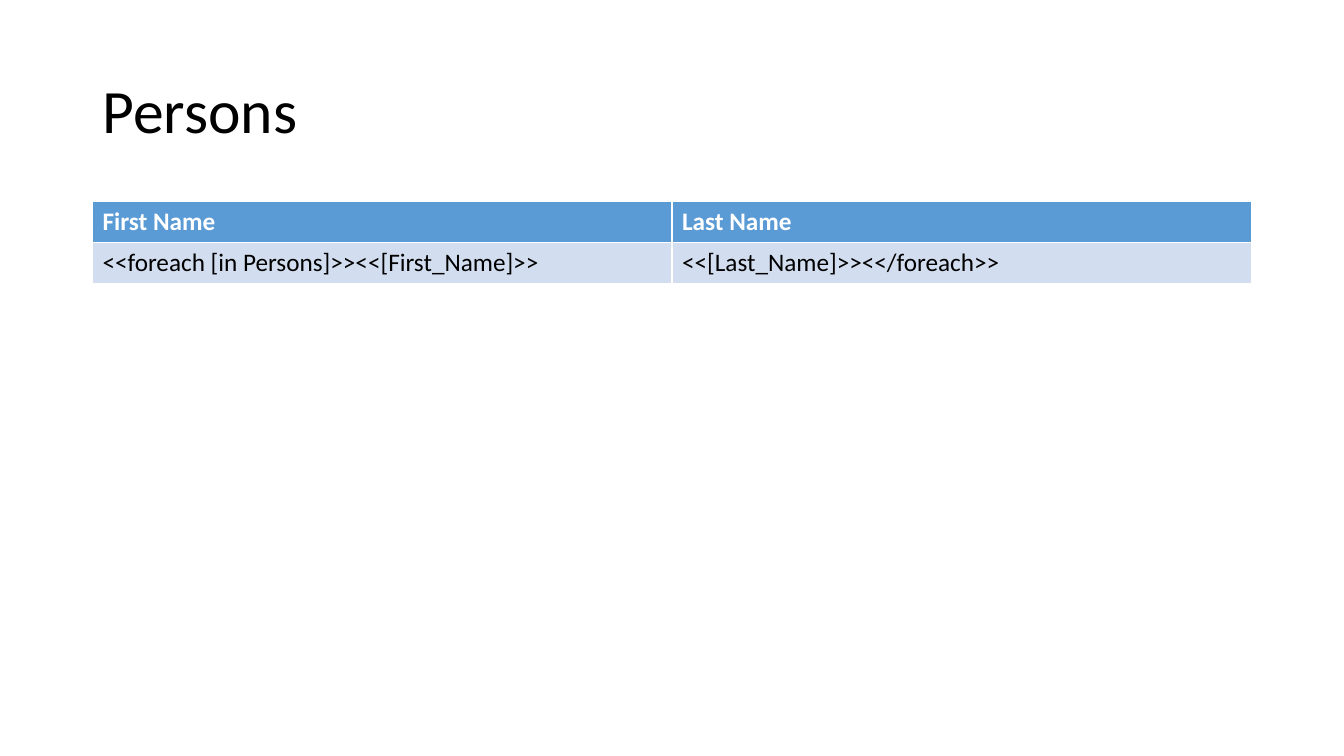
from dataclasses import dataclass

import pptx
import pptx.dml.color
import pptx.enum.text
import pptx.slide
import pptx.text.text
import pptx.util

WHITE = pptx.dml.color.RGBColor(0xFF, 0xFF, 0xFF)
BLACK = pptx.dml.color.RGBColor(0x00, 0x00, 0x00)
HEADER_BLUE = pptx.dml.color.RGBColor(0x5B, 0x9B, 0xD5)
BAND_BLUE = pptx.dml.color.RGBColor(0xD2, 0xDE, 0xEF)

SLIDE_WIDTH = pptx.util.Inches(13.33)
SLIDE_HEIGHT = pptx.util.Inches(7.5)
MARGIN_PERCENT = 6.88
CONTENT_PERCENT = 100 - 2 * MARGIN_PERCENT
ROW_PERCENT = 5.41


@dataclass(frozen=True)
class PersonRow:
    names: tuple[str, ...]
    fill: pptx.dml.color.RGBColor
    color: pptx.dml.color.RGBColor
    bold: bool = False


PERSON_ROWS = (
    PersonRow(("First Name", "Last Name"), HEADER_BLUE, WHITE, bold=True),
    PersonRow(
        ("<<foreach [in Persons]>><<[First_Name]>>", "<<[Last_Name]>><</foreach>>"),
        BAND_BLUE,
        BLACK,
    ),
)


def across(percent: float) -> int:
    return round(SLIDE_WIDTH * percent / 100)


def down(percent: float) -> int:
    return round(SLIDE_HEIGHT * percent / 100)


def write_text(
    frame: pptx.text.text.TextFrame,
    text: str,
    *,
    size: float,
    color: pptx.dml.color.RGBColor,
    bold: bool = False,
    line_spacing: float = 1.0,
) -> None:
    paragraph = frame.paragraphs[0]
    paragraph.alignment = pptx.enum.text.PP_ALIGN.LEFT
    paragraph.line_spacing = line_spacing
    run = paragraph.add_run()
    run.text = text
    run.font.name = "Calibri"
    run.font.size = pptx.util.Pt(size)
    run.font.bold = bold
    run.font.color.rgb = color


def add_heading(slide: pptx.slide.Slide, text: str) -> None:
    heading = slide.shapes.title
    heading.left, heading.top = across(MARGIN_PERCENT), down(5.33)
    heading.width, heading.height = across(CONTENT_PERCENT), down(19.33)
    frame = heading.text_frame
    frame.word_wrap = True
    frame.auto_size = pptx.enum.text.MSO_AUTO_SIZE.NONE
    frame.vertical_anchor = pptx.enum.text.MSO_ANCHOR.MIDDLE
    write_text(frame, text, size=44, color=BLACK, line_spacing=0.9)


def add_persons(slide: pptx.slide.Slide, rows: tuple[PersonRow, ...]) -> None:
    persons = slide.shapes.add_table(
        len(rows),
        len(rows[0].names),
        across(MARGIN_PERCENT),
        down(26.67),
        across(CONTENT_PERCENT),
        down(ROW_PERCENT * len(rows)),
    ).table
    for row_index, row in enumerate(rows):
        for column_index, name in enumerate(row.names):
            cell = persons.cell(row_index, column_index)
            cell.fill.solid()
            cell.fill.fore_color.rgb = row.fill
            write_text(cell.text_frame, name, size=18, color=row.color, bold=row.bold)


def main() -> None:
    deck = pptx.Presentation()
    deck.slide_width, deck.slide_height = SLIDE_WIDTH, SLIDE_HEIGHT
    slide = deck.slides.add_slide(deck.slide_layouts.get_by_name("Title Only"))
    add_heading(slide, "Persons")
    add_persons(slide, PERSON_ROWS)
    deck.save("out.pptx")


if __name__ == "__main__":
    main()
